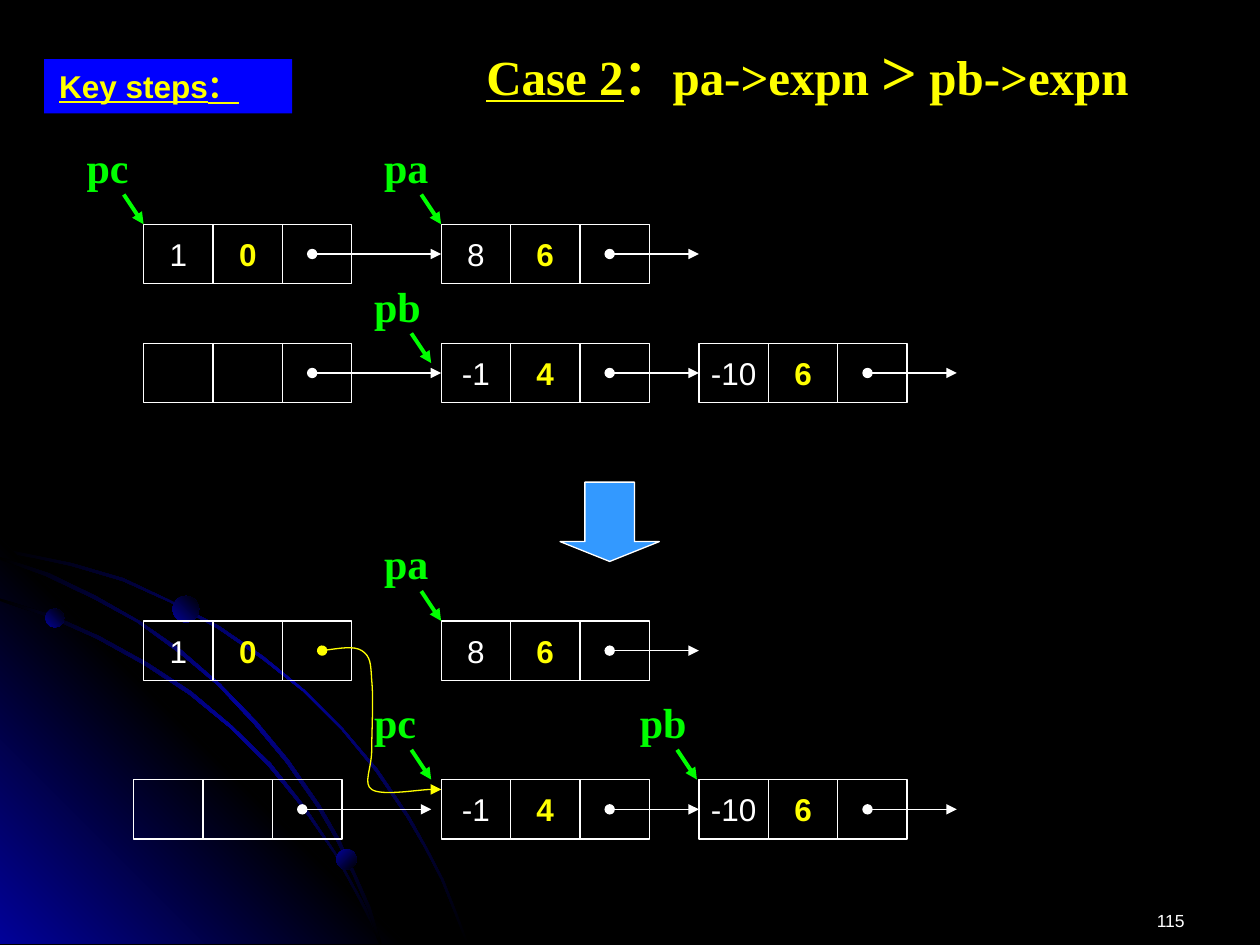
from lxml import etree
from pptx import Presentation
from pptx.dml.color import RGBColor
from pptx.enum import shapes, text
from pptx.oxml import ns
from pptx.util import Inches, Pt

COLORS = {"black": "000000", "navy": "010199", "white": "FFFFFF", "yellow": "FFFF00",
          "green": "00FF00", "blue": "0000FF", "sky": "3399FF"}
W, H = 10, 7.5
G = 0.0787               # grid module, 2 mm
LEFT, TOP = 1.14, 1.78   # grid origin: corner of the first node
CELL_W, CELL_H = 7, 6    # node cell in modules
LABEL_W = {"pa": 0.55, "pb": 0.57, "pc": 0.53}   # label widths in inches
A = ns.nsdecls("a")

# Background arcs, as outline points in inches
ARCS = [
    [(0.57, 4.47), (0.28, 4.41), (0, 4.35), (0, 4.38), (0.28, 4.43), (0.56, 4.49),
     (0.97, 4.61), (1.35, 4.78), (1.73, 4.99), (2.08, 5.23), (2.41, 5.49), (2.71, 5.79),
     (2.98, 6.12), (3.23, 6.49), (3.37, 6.73), (3.5, 6.98), (3.6, 7.23), (3.7, 7.49),
     (3.72, 7.49), (3.62, 7.23), (3.52, 6.98), (3.39, 6.73), (3.25, 6.48), (3, 6.11),
     (2.72, 5.78), (2.42, 5.48), (2.09, 5.21), (1.74, 4.97), (1.36, 4.77), (0.98, 4.59)],
    [(2.85, 7.14), (2.94, 7.32), (3.01, 7.49), (3.03, 7.49), (2.96, 7.3), (2.86, 7.12),
     (2.66, 6.76), (2.42, 6.4), (2.15, 6.06), (1.84, 5.76), (1.52, 5.49), (1.17, 5.26),
     (0.79, 5.05), (0.41, 4.88), (0, 4.75), (0, 4.77), (0.39, 4.9), (0.77, 5.07),
     (1.15, 5.28), (1.5, 5.51), (1.83, 5.78), (2.13, 6.08), (2.4, 6.41), (2.65, 6.77)],
    [(0, 4.42), (0, 4.44), (0.36, 4.57), (0.74, 4.75), (1.09, 4.94), (1.42, 5.18),
     (1.73, 5.44), (2.02, 5.75), (2.27, 6.05), (2.52, 6.41), (2.67, 6.67), (2.8, 6.94),
     (2.92, 7.22), (3.01, 7.49), (3.03, 7.49), (2.94, 7.2), (2.82, 6.93), (2.69, 6.65),
     (2.54, 6.39), (2.29, 6.03), (2.04, 5.73), (1.75, 5.43), (1.44, 5.16), (1.11, 4.93),
     (0.76, 4.73), (0.39, 4.55)],
]
TRIANGLE = [(3.22, 7.49), (0, 7.49), (0, 4.27)]
# Relinking curve: start, then two handles and an end for each piece, in modules
CURVE = [(18, 43), (19.6, 42.8), (21.2, 42.5), (22, 43), (22.9, 43.6), (22.9, 44.3),
         (23, 46), (23.2, 47.8), (23, 51.2), (23, 53), (23, 54.9), (22.1, 56.4),
         (23, 57), (24, 57.7), (27.8, 57), (29, 57), (30.2, 57), (30.1, 57), (30, 57)]


def rgb(name):
    return RGBColor.from_string(COLORS[name])


def grid(col, row):
    return Inches(LEFT + col * G), Inches(TOP + row * G)


def modules(n):
    return Inches(n * G)


def write(s, runs, align="LEFT", anchor="TOP", wrap=True, **base):
    """Fill a shape with one paragraph; each run is (text, format overrides)."""
    tf = s.text_frame
    tf.word_wrap = wrap
    tf.vertical_anchor = getattr(text.MSO_ANCHOR, anchor)
    p = tf.paragraphs[0]
    p.alignment = getattr(text.PP_ALIGN, align)
    for words, extra in runs:
        f = {"size": 18, "font": "Arial", "color": "white", "bold": False,
             "underline": False, **base, **extra}
        r = p.add_run()
        r.text = words
        r.font.size, r.font.name = Pt(f["size"]), f["font"]
        r.font.bold, r.font.underline = f["bold"], f["underline"]
        r.font.color.rgb = rgb(f["color"])
    return tf


def pad(tf, x, y):
    tf.margin_left = tf.margin_right = Inches(x)
    tf.margin_top = tf.margin_bottom = Inches(y)


def style(s, fill=None, line=None):
    s.shadow.inherit = False
    if fill:
        s.fill.solid()
        s.fill.fore_color.rgb = rgb(fill)
    else:
        s.fill.background()
    if line:
        s.line.color.rgb, s.line.width = rgb(line), Pt(0.75)
    else:
        s.line.fill.background()


def gradient(s, names, angle):
    style(s)
    stops = "".join(f'<a:gs pos="{100000 * i // (len(names) - 1)}"><a:srgbClr val="{COLORS[n]}"/></a:gs>'
                    for i, n in enumerate(names))
    xml = (f'<a:gradFill {A} rotWithShape="1"><a:gsLst>{stops}</a:gsLst>'
           f'<a:lin ang="{angle * 60000}" scaled="0"/></a:gradFill>')
    old = s._element.spPr.find(ns.qn("a:noFill"))
    old.getparent().replace(old, etree.fromstring(xml))


def line_ends(s, head=None, tail="triangle"):
    ln = s.line._get_or_add_ln()
    for tag, kind in (("a:headEnd", head), ("a:tailEnd", tail)):
        if kind:
            etree.SubElement(ln, ns.qn(tag), type=kind)


def outline(sp, points, close=True):
    b = sp.build_freeform(*points[0])
    b.add_line_segments(points[1:], close=close)
    return b.convert_to_shape()


def arrow(sp, start, end, color="white", width=0.75, head=None):
    s = sp.add_connector(shapes.MSO_CONNECTOR.STRAIGHT, *grid(*start), *grid(*end))
    s.line.color.rgb, s.line.width = rgb(color), Pt(width)
    line_ends(s, head)
    etree.SubElement(s._element.spPr, ns.qn("a:effectLst"))
    return s


def background(sp):
    def inches(points):
        return [(Inches(x), Inches(y)) for x, y in points]
    gradient(outline(sp, inches(ARCS[0])), ["black", "navy", "black"], 45)
    gradient(outline(sp, inches(TRIANGLE)), ["navy", "black", "navy"], 315)
    for arc in ARCS[1:]:
        gradient(outline(sp, inches(arc)), ["black", "navy", "black"], 45)
    for x, y, d, angle in [(0.36, 4.83, 0.15, 315), (2.67, 6.74, 0.16, 45), (1.37, 4.73, 0.21, 315)]:
        s = sp.add_shape(shapes.MSO_SHAPE.OVAL, *map(Inches, (x, y, d, d)))
        gradient(s, ["navy", "black"], angle)


def node(sp, col, row, coef="", expn=""):
    """Three cells: coefficient, exponent, link. Returns the first cell."""
    cells = []
    for i, value in enumerate((coef, expn, "")):
        s = sp.add_shape(shapes.MSO_SHAPE.RECTANGLE, *grid(col + i * CELL_W, row),
                         modules(CELL_W), modules(CELL_H))
        style(s, line="white")
        if value:
            write(s, [(value, {})], align="CENTER", anchor="MIDDLE", wrap=False,
                  color="yellow" if i else "white", bold=i == 1)
        cells.append(s)
    return cells[0]


def chain(sp, row, nodes, end, linked=True):
    """Nodes of (column, coefficient, exponent), joined left to right up to column end."""
    cells = [node(sp, col, row, *values) for col, *values in nodes]
    mid = row + CELL_H / 2
    stops = [col for col, *_ in nodes[1:]] + [end]
    for i, (col, *_) in enumerate(nodes):
        if i == 0 and not linked:
            continue
        # a node shifted left keeps its link length and stops short of the next
        stop = stops[i] + min(col, 0)
        link = arrow(sp, (col + 17, mid), (stop, mid), head="oval")
        if i + 1 < len(cells) and stop == stops[i]:
            link.end_connect(cells[i + 1], 1)


def pointer(sp, name, col, row):
    """Label and arrow whose tip is at the given grid point."""
    s = sp.add_textbox(*grid(col - 7, row - 9), Inches(LABEL_W[name]), Inches(0.5))
    tf = write(s, [(name, {})], wrap=False, size=24, font="Times New Roman", color="green", bold=True)
    tf.auto_size = text.MSO_AUTO_SIZE.SHAPE_TO_FIT_TEXT
    arrow(sp, (col - 2, row - 3), (col, row), "green", 2.25)


def relink(sp):
    s = outline(sp, [grid(*pt) for pt in CURVE], close=False)
    style(s, line="yellow")
    line_ends(s, "oval")
    segments = s._element.spPr.findall(".//" + ns.qn("a:lnTo"))
    for i in range(0, len(segments), 3):
        bezier = etree.SubElement(segments[i].getparent(), ns.qn("a:cubicBezTo"))
        for seg in segments[i:i + 3]:
            bezier.append(seg[0])
            seg.getparent().remove(seg)


def headings(sp):
    s = sp.add_textbox(Inches(W * 0.374), Inches(0.2), Inches(W * 0.559), Inches(0.73))
    pad(write(s, [("Case 2", {"underline": True}), ("：pa->expn ", {}),
                  (">", {"size": 36}), (" pb->expn", {})],
              size=28, font="Times New Roman", color="yellow", bold=True), 0.12, 0.06)
    s = sp.add_shape(shapes.MSO_SHAPE.RECTANGLE, *map(Inches, (0.35, 0.47, 1.97, 0.43)))
    style(s, fill="blue")
    pad(write(s, [("Key steps：", {})], color="yellow", bold=True, underline=True), 0.12, 0.06)
    # Page number
    s = sp.add_textbox(*map(Inches, (7.17, 7.01, 2.33, 0.5)))
    tf = write(s, [("115", {})], align="RIGHT", anchor="BOTTOM", size=10)
    tf.margin_bottom = Inches(0.12)


def main():
    prs = Presentation()
    prs.slide_width, prs.slide_height = Inches(W), Inches(H)
    slide = prs.slides.add_slide(prs.slide_layouts[6])
    slide.background.fill.solid()
    slide.background.fill.fore_color.rgb = rgb("black")
    sp = slide.shapes
    background(sp)
    headings(sp)
    # Lists before and after the step
    list_a = [(0, "1", "0"), (30, "8", "6")]
    list_b = [(30, "-1", "4"), (56, "-10", "6")]
    chain(sp, 0, list_a, 56)
    chain(sp, 12, [(0,)] + list_b, 82)
    chain(sp, 40, list_a, 56, linked=False)
    chain(sp, 56, [(-1,)] + list_b, 82)
    for name, col, row in [("pc", 0, 0), ("pa", 30, 0), ("pb", 29, 14),
                           ("pa", 30, 40), ("pc", 29, 56), ("pb", 55.8, 56)]:
        pointer(sp, name, col, row)
    # Step arrow and new link
    s = sp.add_shape(shapes.MSO_SHAPE.DOWN_ARROW, *grid(42, 26), modules(10), modules(8))
    s.adjustments[0], s.adjustments[1] = 0.5, 0.25
    style(s, fill="sky", line="white")
    relink(sp)
    prs.save("out.pptx")


if __name__ == "__main__":
    main()
